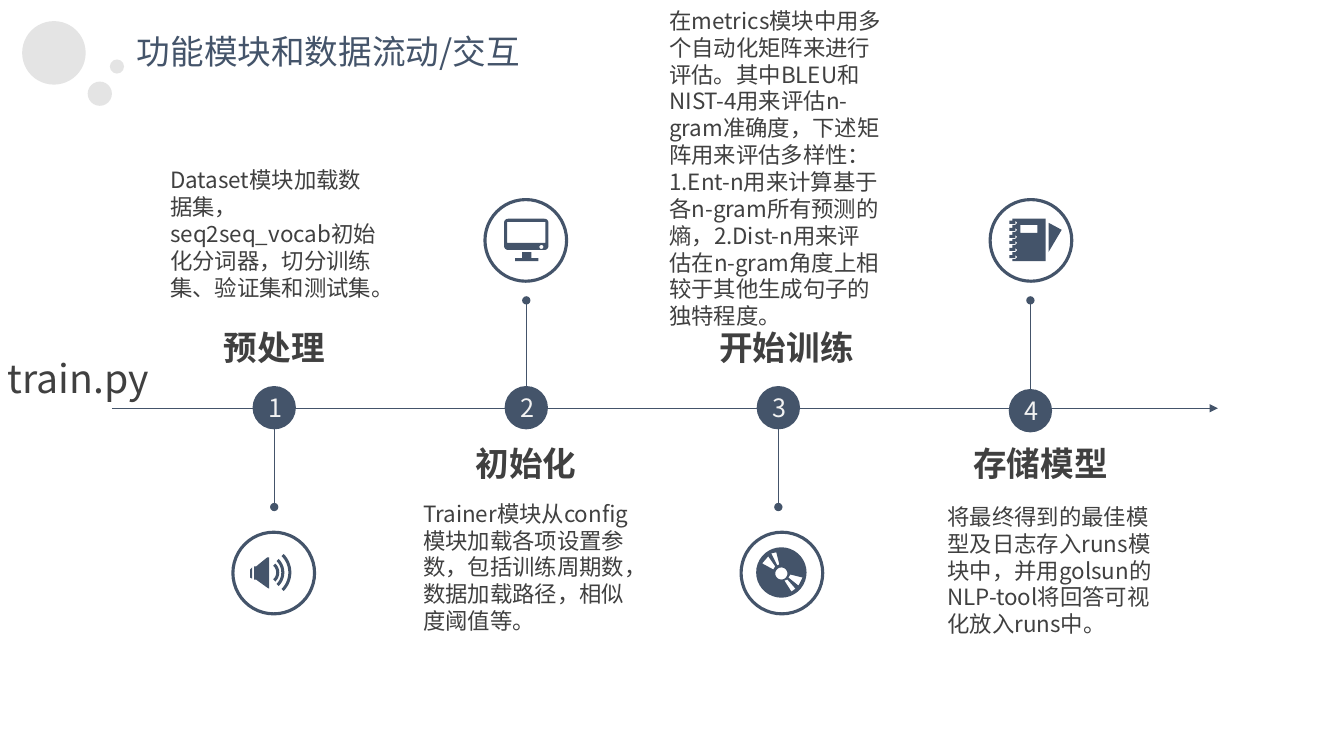
from dataclasses import dataclass
from math import cos, radians, sin

from lxml.etree import SubElement
from pptx import Presentation
from pptx.dml.color import RGBColor
from pptx.enum.shapes import MSO_CONNECTOR, MSO_SHAPE
from pptx.enum.text import MSO_ANCHOR, PP_ALIGN
from pptx.oxml.ns import qn
from pptx.util import Inches, Pt


@dataclass(frozen=True)
class Theme:
    font: str = "Noto Sans CJK SC"
    navy: str = "44546A"
    ink: str = "404040"
    pale: str = "F2F2F2"
    bubble: str = "D9D9D9"
    body: int = 16
    number: int = 18
    heading: int = 24
    label: int = 28
    thin: float = 0.5
    ring: float = 2.25


THEME = Theme()


def write_text(frame, text, size, color, bold=False, align=PP_ALIGN.LEFT,
               anchor=MSO_ANCHOR.TOP, spacing=None):
    frame.word_wrap = True
    frame.vertical_anchor = anchor
    paragraph = frame.paragraphs[0]
    paragraph.alignment = align
    paragraph.line_spacing = spacing
    run = paragraph.add_run()
    run.text = text
    run.font.name = THEME.font
    run.font.size = Pt(size)
    run.font.bold = bold
    run.font.color.rgb = RGBColor.from_string(color)
    latin = run.font._element.find(qn("a:latin"))
    east_asian = latin.makeelement(qn("a:ea"), {"typeface": THEME.font})
    latin.addnext(east_asian)


def add_text(slide, box, text, **text_format):
    shape = slide.shapes.add_textbox(*map(Inches, box))
    write_text(shape.text_frame, text, **text_format)


def add_heading(slide, box, text):
    add_text(slide, box, text, size=THEME.heading, color=THEME.ink, bold=True,
             align=PP_ALIGN.CENTER, spacing=0.94)


def paint(shape, color):
    shape.shadow.inherit = False
    shape.fill.solid()
    shape.fill.fore_color.rgb = RGBColor.from_string(color)
    shape.line.fill.background()


def add_circle(slide, left, top, size, kind=MSO_SHAPE.OVAL):
    return slide.shapes.add_shape(kind, *map(Inches, (left, top, size, size)))


def add_bubble(slide, left, top, size):
    bubble = add_circle(slide, left, top, size, MSO_SHAPE.FLOWCHART_CONNECTOR)
    paint(bubble, THEME.bubble)
    color = bubble.fill._xPr.find(qn("a:solidFill"))[0]
    SubElement(color, qn("a:alpha"), val="70000")


def add_badge(slide, center, top, number):
    size = 0.43
    badge = add_circle(slide, center - size / 2, top, size)
    paint(badge, THEME.navy)
    write_text(badge.text_frame, str(number), size=THEME.number, color=THEME.pale,
               align=PP_ALIGN.CENTER, anchor=MSO_ANCHOR.MIDDLE)


def add_ring(slide, left, top):
    ring = add_circle(slide, left, top, 0.81)
    ring.shadow.inherit = False
    ring.fill.background()
    ring.line.color.rgb = RGBColor.from_string(THEME.navy)
    ring.line.width = Pt(THEME.ring)


def add_line(slide, start, end, **ends):
    line = slide.shapes.add_connector(
        MSO_CONNECTOR.STRAIGHT, *map(Inches, (*start, *end)))
    line.line.color.rgb = RGBColor.from_string(THEME.navy)
    line.line.width = Pt(THEME.thin)
    for name, kind in ends.items():
        SubElement(line.line._ln, qn(f"a:{name}"), type=kind)
    SubElement(line._element.spPr, qn("a:effectLst"))


def add_outline(slide, *contours):
    builder = None
    for contour in contours:
        points = [(Inches(x), Inches(y)) for x, y in contour]
        if builder is None:
            builder = slide.shapes.build_freeform(*points[0])
        else:
            builder.move_to(*points[0])
        builder.add_line_segments(points[1:], close=True)
    paint(builder.convert_to_shape(), THEME.navy)


def arc(x, y, radius, start=0, end=360, steps=36):
    angles = [radians(start + (end - start) * i / steps) for i in range(steps + 1)]
    return [(x + radius * cos(angle), y + radius * sin(angle)) for angle in angles]


def box_points(left, top, right, bottom):
    return [(left, top), (right, top), (right, bottom), (left, bottom)]


def rounded_points(left, top, right, bottom, radius):
    corners = box_points(left + radius, top + radius, right - radius, bottom - radius)
    return [point for i, (x, y) in enumerate(corners)
            for point in arc(x, y, radius, 180 + 90 * i, 270 + 90 * i, 6)]


def draw_speaker(slide):
    add_outline(slide, [(2.52, 5.62), (2.54, 5.62), (2.65, 5.53), (2.67, 5.53),
                        (2.67, 5.84), (2.65, 5.83), (2.54, 5.75), (2.52, 5.75)])
    add_outline(slide, [(2.5, 5.63), (2.48, 5.65), (2.48, 5.73), (2.5, 5.74)])
    for x, radius, spread in ((2.65, 0.12, 48), (2.63, 0.19, 45), (2.63, 0.26, 45)):
        outer = arc(x, 5.68, radius, -spread, spread, 16)
        inner = arc(x, 5.68, radius - 0.03, spread, -spread, 16)
        add_outline(slide, outer + inner)


def draw_monitor(slide):
    stand = [(5.11, 2.56), (5.18, 2.56), (5.18, 2.5), (5.27, 2.5),
             (5.27, 2.56), (5.34, 2.56), (5.34, 2.59), (5.11, 2.59)]
    add_outline(slide, rounded_points(5, 2.17, 5.44, 2.48, 0.04), stand,
                box_points(5.03, 2.2, 5.41, 2.41), arc(5.37, 2.45, 0.02))


def draw_disc(slide):
    add_outline(
        slide, arc(7.75, 5.68, 0.25), arc(7.75, 5.69, 0.06),
        [(7.71, 5.61), (7.73, 5.6), (7.7, 5.48), (7.65, 5.49)],
        [(7.81, 5.75), (7.78, 5.76), (7.85, 5.87), (7.89, 5.84)],
        [(7.96, 5.73), (7.84, 5.7), (7.82, 5.73), (7.92, 5.81)],
        [(7.56, 5.59), (7.67, 5.65), (7.69, 5.62), (7.62, 5.52)])


def draw_notebook(slide):
    binding = [(10.04, 2.17)]
    for i in range(6):
        top = 2.19 + 0.07 * i - (0.01 if i > 2 else 0)
        binding += [(10.04, top), (10.01, top), (10.01, top + 0.03),
                    (10.07, top + 0.03), (10.07, top), (10.09, top + 0.02),
                    (10.07, top + 0.04), (10.04, top + 0.04)]
    cover = binding + [(10.04, 2.59), (10.37, 2.59), (10.37, 2.17)]
    add_outline(slide, [(10.4, 2.21), (10.4, 2.5), (10.53, 2.28)], cover,
                box_points(10.12, 2.23, 10.29, 2.31))


STEPS = [
    ("预处理", (1.87, 3.23, 1.7, 0.48), (1.59, 1.6, 2.25, 1.72), 3.83, (2.31, 5.28),
     draw_speaker,
     "Dataset模块加载数据集，seq2seq_vocab初始化分词器，切分训练集、验证集和测试集。"),
    ("初始化", (4.49, 4.38, 1.45, 0.48), (4.1, 4.91, 2.25, 1.45), 3.83, (4.81, 1.98),
     draw_monitor,
     "Trainer模块从config模块加载各项设置参数，包括训练周期数，数据加载路径，相似度阈值等。"),
    ("开始训练", (7.02, 3.23, 1.56, 0.48), (6.54, 0.02, 2.31, 3.33), 3.83, (7.35, 5.28),
     draw_disc,
     "在metrics模块中用多个自动化矩阵来进行评估。其中BLEU和NIST-4用来评估n-gram准确度，"
     "下述矩阵用来评估多样性：1.Ent-n用来计算基于各n-gram所有预测的熵，"
     "2.Dist-n用来评估在n-gram角度上相较于其他生成句子的独特程度。"),
    ("存储模型", (9.5, 4.38, 1.64, 0.48), (9.3, 4.94, 2.25, 1.45), 3.86, (9.82, 1.98),
     draw_notebook,
     "将最终得到的最佳模型及日志存入runs模块中，并用golsun的NLP-tool将回答可视化放入runs中。"),
]


def main():
    presentation = Presentation()
    presentation.slide_width = Inches(13.33)
    presentation.slide_height = Inches(7.5)
    slide = presentation.slides.add_slide(presentation.slide_layouts[6])

    for bubble in ((0.22, 0.21, 0.63), (0.87, 0.81, 0.24), (1.09, 0.59, 0.14)):
        add_bubble(slide, *bubble)
    add_text(slide, (1.26, 0.26, 4.05, 0.5), "功能模块和数据流动/交互",
             size=THEME.heading, color=THEME.navy)
    add_line(slide, (1.11, 4.05), (12.08, 4.05), tailEnd="triangle")

    for index, step in enumerate(STEPS):
        heading, heading_box, body_box, badge_top, ring_corner, draw_icon, body = step
        center = 2.72 + 2.5 * index
        top, bottom = (2.98, 3.96) if index % 2 else (4.04, 5.03)
        add_line(slide, (center, top), (center, bottom), headEnd="oval", tailEnd="oval")
        add_badge(slide, center, badge_top, index + 1)
        add_ring(slide, *ring_corner)
        draw_icon(slide)
        add_text(slide, body_box, body, size=THEME.body, color=THEME.ink)
        add_heading(slide, heading_box, heading)

    add_text(slide, (-0.02, 3.47, 2.25, 0.57), "train.py",
             size=THEME.label, color=THEME.ink)
    presentation.save("out.pptx")


if __name__ == "__main__":
    main()
